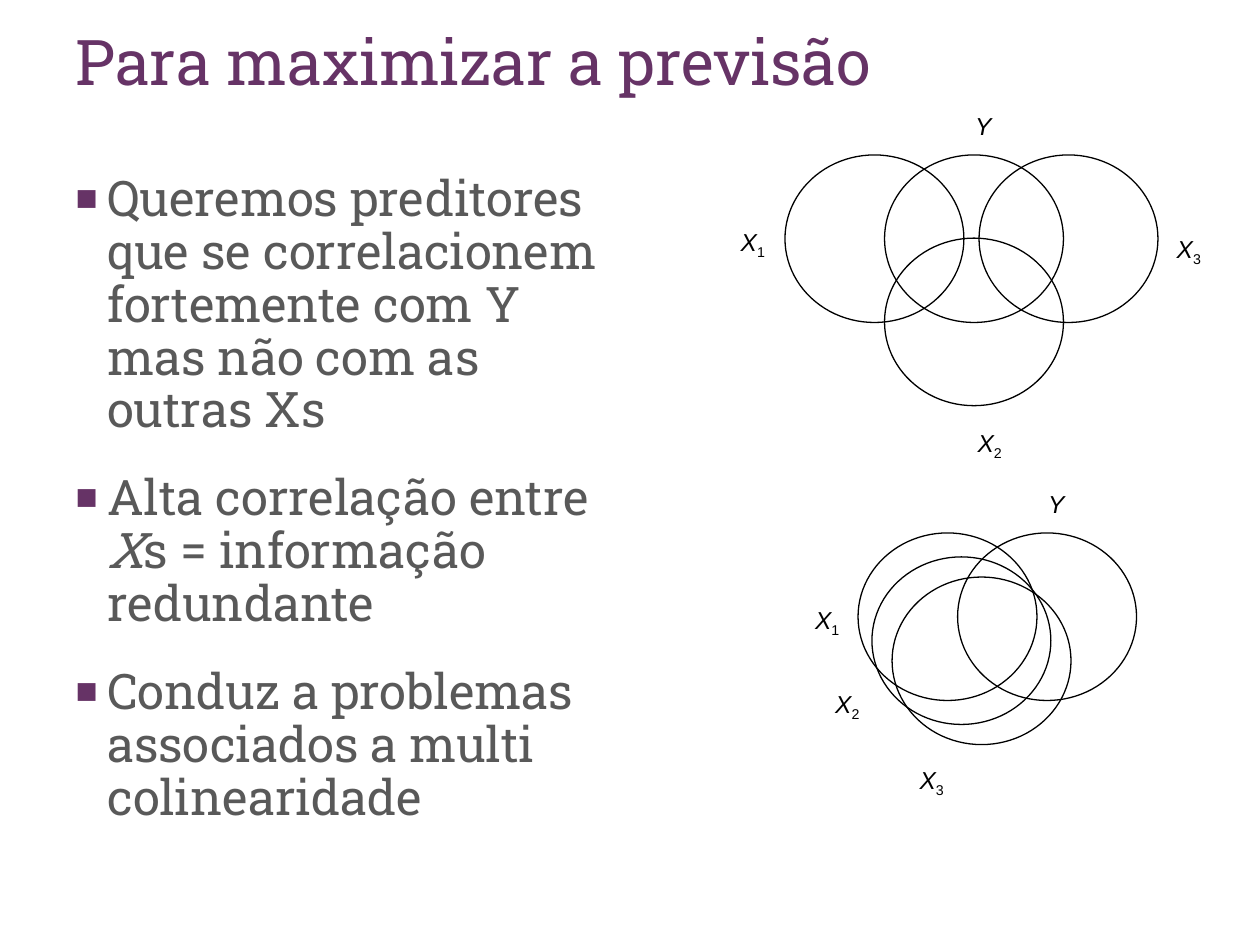
"""Build the slide on choosing predictors that maximise prediction."""
from lxml.etree import SubElement
from pptx import Presentation
from pptx.dml.color import RGBColor
from pptx.enum.shapes import MSO_SHAPE
from pptx.enum.text import MSO_ANCHOR, MSO_AUTO_SIZE, PP_ALIGN
from pptx.oxml.ns import qn
from pptx.util import Inches, Pt

THEME = {
    "title": {"font": "Roboto Slab", "size": 36, "color": "663366"},
    "body": {"font": "Roboto Slab", "size": 28, "color": "595959"},
    "label": {"font": "Arial", "size": 14, "color": "000000"},
    "bullet": "663366",
    "outline": "000000",
}


def add_text(paragraph, text, font, size, color, italic=False, baseline=0):
    run = paragraph.add_run()
    run.text = text
    run.font.name = font
    run.font.size = Pt(size)
    run.font.color.rgb = RGBColor.from_string(color)
    run.font.italic = italic
    if baseline:
        run.font._element.set("baseline", str(baseline * 1000))


presentation = Presentation()
presentation.slide_width = Inches(10)
presentation.slide_height = Inches(7.5)
slide = presentation.slides.add_slide(presentation.slide_layouts[1])

title = slide.shapes.title
body = slide.placeholders[1]
for placeholder, box in ((title, (0.5, 0.13, 9, 0.95)), (body, (0.5, 1.33, 4.42, 5.67))):
    placeholder.left, placeholder.top, placeholder.width, placeholder.height = map(Inches, box)
    placeholder.text_frame.word_wrap = True
    placeholder.text_frame.auto_size = MSO_AUTO_SIZE.NONE
    placeholder.text_frame.vertical_anchor = MSO_ANCHOR.TOP

heading = title.text_frame.paragraphs[0]
heading.alignment = PP_ALIGN.LEFT
add_text(heading, "Para maximizar a previsão", **THEME["title"])

bullets = [
    [("Queremos preditores que se correlacionem fortemente com Y mas não com as outras Xs", False)],
    [("Alta correlação entre ", False), ("X", True), ("s = informação redundante", False)],
    [("Conduz a problemas associados a multi colinearidade", False)],
]
for index, pieces in enumerate(bullets):
    paragraph = body.text_frame.add_paragraph() if index else body.text_frame.paragraphs[0]
    paragraph.line_spacing = 0.9
    paragraph.space_before = Pt(20)
    properties = paragraph._p.get_or_add_pPr()
    properties.set("marL", str(Inches(0.25)))
    properties.set("indent", str(-Inches(0.25)))
    bullet_color = SubElement(properties, qn("a:buClr"))
    SubElement(bullet_color, qn("a:srgbClr"), val=THEME["bullet"])
    SubElement(properties, qn("a:buSzPct"), val="75000")
    SubElement(properties, qn("a:buChar"), char="■")
    for text, italic in pieces:
        add_text(paragraph, text, italic=italic, **THEME["body"])

diagrams = [
    {
        "circles": [(7.02, 1.23), (6.23, 1.23), (7.02, 1.89), (7.77, 1.23)],
        "labels": [("Y", "", 7.64, 0.83), ("X", "1", 5.78, 1.75),
                   ("X", "2", 7.66, 3.35), ("X", "3", 9.24, 1.81)],
    },
    {
        "circles": [(7.6, 4.23), (6.81, 4.23), (6.92, 4.42), (7.08, 4.58)],
        "labels": [("Y", "", 8.22, 3.83), ("X", "1", 6.37, 4.75),
                   ("X", "2", 6.53, 5.42), ("X", "3", 7.2, 6.02)],
    },
]
for diagram in diagrams:
    group = slide.shapes.add_group_shape()
    for left, top in diagram["circles"]:
        circle = group.shapes.add_shape(
            MSO_SHAPE.OVAL, Inches(left), Inches(top), Inches(1.42), Inches(1.33))
        circle.shadow.inherit = False
        circle.fill.background()
        circle.line.color.rgb = RGBColor.from_string(THEME["outline"])
        circle.line.width = Pt(0.75)
    for variable, subscript, left, top in diagram["labels"]:
        width, height = (0.39, 0.37) if subscript else (0.33, 0.34)
        label = group.shapes.add_textbox(
            Inches(left), Inches(top), Inches(width), Inches(height))
        label.text_frame.word_wrap = False
        label.text_frame.auto_size = MSO_AUTO_SIZE.SHAPE_TO_FIT_TEXT
        paragraph = label.text_frame.paragraphs[0]
        add_text(paragraph, variable, italic=True, **THEME["label"])
        if subscript:
            add_text(paragraph, subscript, baseline=-25, **THEME["label"])

presentation.save("out.pptx")
